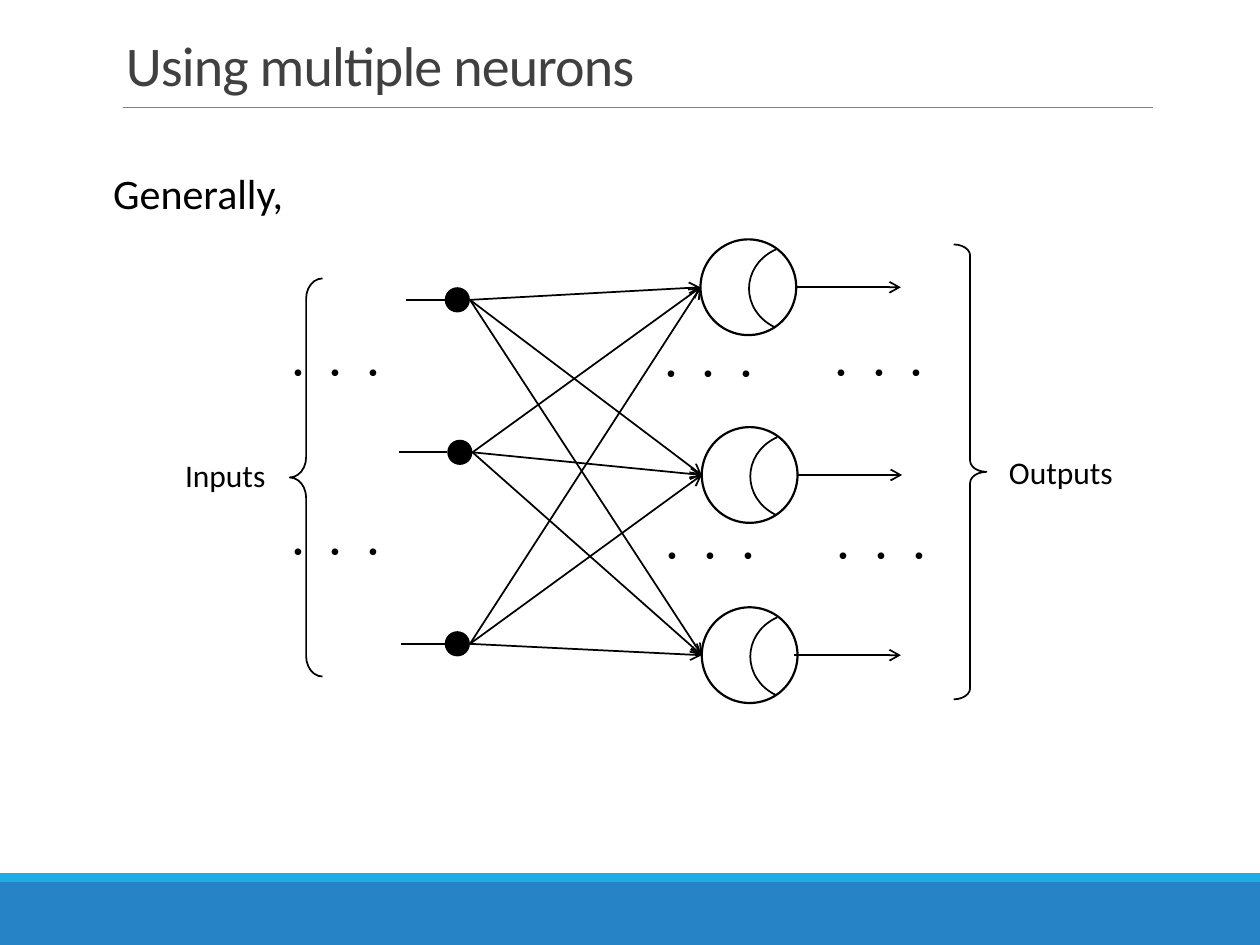
from dataclasses import dataclass
from itertools import product

from lxml import etree
from pptx import Presentation
from pptx.dml.color import RGBColor
from pptx.enum.shapes import MSO_CONNECTOR, MSO_SHAPE
from pptx.enum.text import MSO_ANCHOR
from pptx.oxml.ns import qn
from pptx.util import Inches, Pt

STRAIGHT = MSO_CONNECTOR.STRAIGHT
RECTANGLE = MSO_SHAPE.RECTANGLE
OVAL = MSO_SHAPE.OVAL
ARC = MSO_SHAPE.ARC
LEFT_BRACE = MSO_SHAPE.LEFT_BRACE
TOP = MSO_ANCHOR.TOP
BOTTOM = MSO_ANCHOR.BOTTOM


@dataclass(frozen=True)
class Theme:
    """Colours, font and sizes of the slide."""
    font: str = "Calibri"
    ink: str = "000000"
    title: str = "404040"
    rule: str = "808080"
    footer: str = "2683C6"
    footer_edge: str = "1CADE4"
    title_size: float = 32
    lead_size: float = 24
    label_size: float = 18
    thin: float = 0.5
    normal: float = 1
    thick: float = 1.25


THEME = Theme()
NODE = 0.2
NEURON = 0.76
INPUTS = [(3.53, 2.38, 3.22), (3.55, 3.59, 3.17), (3.53, 5.11, 3.18)]
NEURONS = [(5.56, 2.28, 6.32, 7.15), (5.57, 3.77, 6.33, 7.16), (5.57, 5.2, 6.3, 7.15)]
ELLIPSES = [(2.68, 2.83), (2.68, 4.25), (5.64, 2.84), (5.65, 4.28), (6.99, 2.83), (7.01, 4.28)]


def add_shape(slide, kind, box, fill=None, width=None):
    """Add a preset shape with an optional fill and an optional outline."""
    shape = slide.shapes.add_shape(kind, *map(Inches, box))
    shape.shadow.inherit = False
    if fill:
        shape.fill.solid()
        shape.fill.fore_color.rgb = RGBColor.from_string(fill)
    else:
        shape.fill.background()
    if width:
        shape.line.color.rgb = RGBColor.from_string(THEME.ink)
        shape.line.width = Pt(width)
    else:
        shape.line.fill.background()
    return shape


def add_line(slide, start, end, color=THEME.ink, width=THEME.normal, arrow=False):
    """Add a straight line, with an open arrowhead at its end if asked."""
    line = slide.shapes.add_connector(STRAIGHT, *map(Inches, (*start, *end)))
    line.line.color.rgb = RGBColor.from_string(color)
    line.line.width = Pt(width)
    properties = line._element.spPr
    if arrow:
        etree.SubElement(properties.find(qn("a:ln")), qn("a:tailEnd"), type="arrow")
    etree.SubElement(properties, qn("a:effectLst"))


def add_text(slide, box, text, size, color=THEME.ink, wrap=False, anchor=TOP):
    """Add a one-paragraph text box."""
    label = slide.shapes.add_textbox(*map(Inches, box))
    frame = label.text_frame
    frame.word_wrap = wrap
    frame.vertical_anchor = anchor
    frame.text = text
    font = frame.paragraphs[0].runs[0].font
    font.name = THEME.font
    font.size = Pt(size)
    font.color.rgb = RGBColor.from_string(color)
    return label


def add_frame(slide):
    """Add the footer bands, the title and the rule under it."""
    add_shape(slide, RECTANGLE, (0, 7, 10, 0.5), THEME.footer)
    add_shape(slide, RECTANGLE, (0, 6.93, 10, 0.07), THEME.footer_edge)
    add_line(slide, (0.98, 0.85), (9.15, 0.85), THEME.rule, THEME.thin)
    title = add_text(slide, (0.9, 0.18, 8.25, 0.65), "Using multiple neurons",
                     THEME.title_size, THEME.title, True, BOTTOM)
    heading = title.text_frame.paragraphs[0]
    heading.line_spacing = 0.85
    heading.runs[0].font._element.set("spc", "-50")


def add_input(slide, left, middle, lead):
    """Add an input node with the line that leads into it."""
    add_shape(slide, OVAL, (left, middle - NODE / 2, NODE, NODE), THEME.ink)
    add_line(slide, (left, middle), (lead, middle))


def add_neuron(slide, left, middle, exit_x, tip):
    """Add a neuron with its activation curve and output arrow."""
    top = middle - NEURON / 2
    add_shape(slide, OVAL, (left, top, NEURON, NEURON), width=THEME.thick)
    curve = add_shape(slide, ARC, (left + 0.42, top + 0.01, 0.69, NEURON), width=THEME.normal)
    curve.adjustments[0] = 125.339
    curve.adjustments[1] = 199.082
    curve.rotation = 270
    add_line(slide, (exit_x, middle), (tip, middle), arrow=True)


def add_brace(slide, box, curl, mirrored=False):
    """Add a brace that opens right, or left when mirrored."""
    brace = add_shape(slide, LEFT_BRACE, box, width=THEME.normal)
    brace.adjustments[0] = curl
    if mirrored:
        brace._element.spPr.xfrm.set("flipH", "1")


def main():
    """Build the slide and save it."""
    deck = Presentation()
    deck.slide_width, deck.slide_height = Inches(10), Inches(7.5)
    slide = deck.slides.add_slide(deck.slide_layouts[6])
    add_frame(slide)
    add_text(slide, (0.8, 1.28, 1.72, 0.5), "Generally,", THEME.lead_size)

    for neuron in NEURONS:
        add_neuron(slide, *neuron)
    for node in INPUTS:
        add_input(slide, *node)
    for node, neuron in product(INPUTS, NEURONS):
        add_line(slide, (node[0] + NODE, node[1]), neuron[:2], arrow=True)

    add_brace(slide, (2.3, 2.21, 0.26, 3.16), 0.62)
    add_brace(slide, (7.57, 1.94, 0.26, 3.61), 0.34, mirrored=True)
    add_text(slide, (1.37, 3.57, 0.85, 0.4), "Inputs", THEME.label_size)
    add_text(slide, (7.91, 3.55, 1.03, 0.4), "Outputs", THEME.label_size)
    for left, top in ELLIPSES:
        dots = add_text(slide, (left, top, 0.58, 0.4), "・・・", THEME.label_size, wrap=True)
        dots.rotation = 90
    deck.save("out.pptx")


if __name__ == "__main__":
    main()
